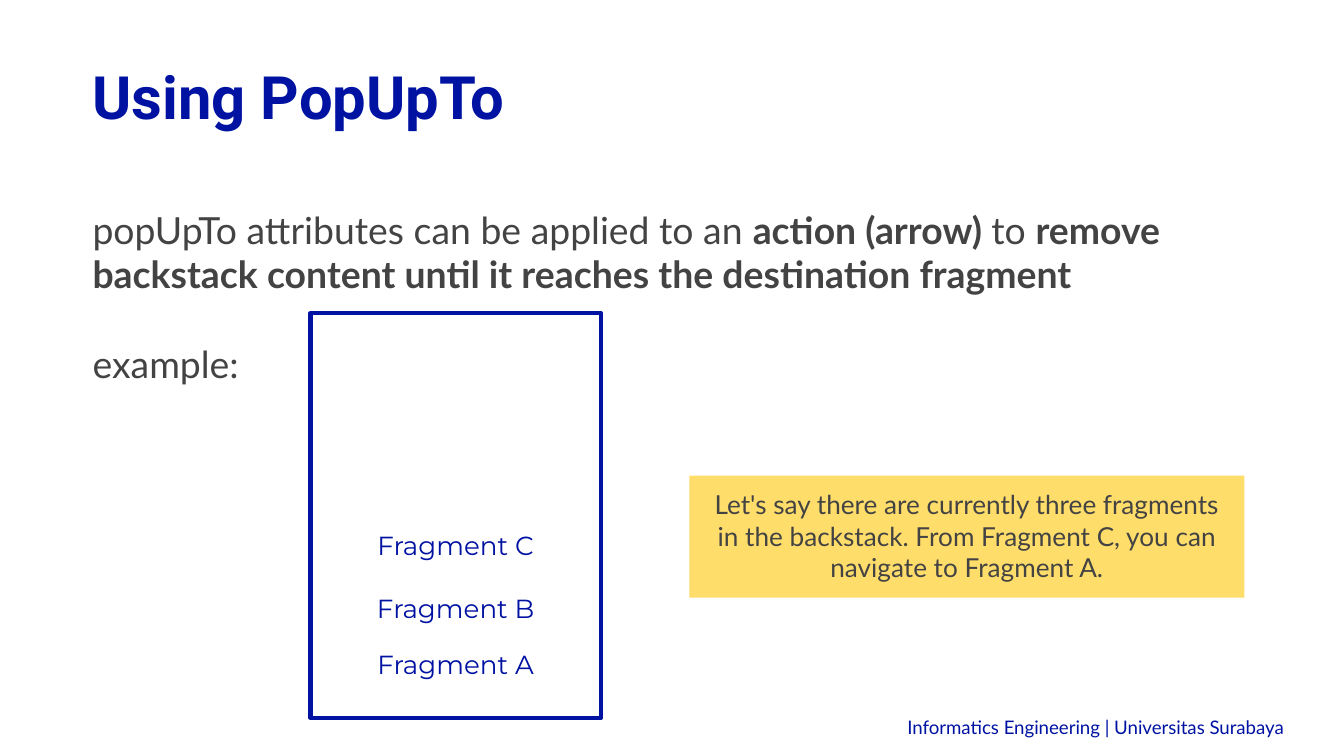
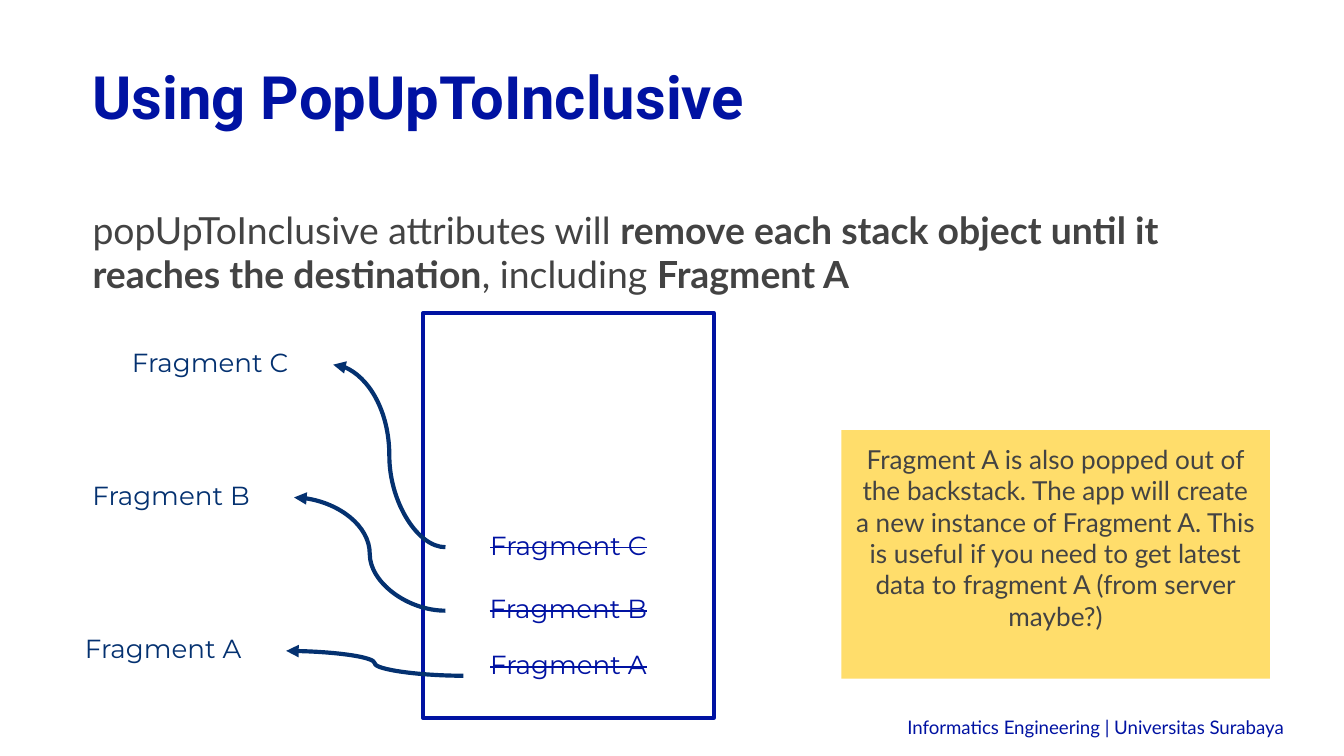
from dataclasses import dataclass

from lxml import etree
from pptx import Presentation
from pptx.dml.color import RGBColor
from pptx.enum.shapes import MSO_CONNECTOR, MSO_SHAPE
from pptx.enum.text import MSO_ANCHOR, PP_ALIGN
from pptx.oxml.ns import qn
from pptx.util import Cm, Pt

CURVE = MSO_CONNECTOR.CURVE
RECTANGLE = MSO_SHAPE.RECTANGLE
TOP, MIDDLE, BOTTOM = MSO_ANCHOR.TOP, MSO_ANCHOR.MIDDLE, MSO_ANCHOR.BOTTOM
LEFT, CENTER, RIGHT = PP_ALIGN.LEFT, PP_ALIGN.CENTER, PP_ALIGN.RIGHT


@dataclass(frozen=True)
class Theme:
    blue: RGBColor = RGBColor(0x00, 0x12, 0xA2)
    navy: RGBColor = RGBColor(0x04, 0x31, 0x70)
    grey: RGBColor = RGBColor(0x43, 0x43, 0x43)
    yellow: RGBColor = RGBColor(0xFF, 0xDD, 0x6B)
    title_font: str = "Roboto"
    body_font: str = "Lato"
    label_font: str = "Montserrat"
    title_size: int = 32
    body_size: int = 20
    label_size: int = 14
    footer_size: int = 10
    line_width: float = 2.25


# All lengths below are in centimetres.
MARGIN = 1.5
INSET = 0.25
STACK_TOP, STACK_WIDTH, STACK_HEIGHT = 5.92, 5.49, 7.65
LABEL_WIDTH, LABEL_HEIGHT = 4.65, 1.19
STACK_LABEL_TOPS = {"Fragment A": 12.01, "Fragment B": 10.95, "Fragment C": 9.75}
FOOTER = "Informatics Engineering | Universitas Surabaya"


class Deck:
    def __init__(self, theme):
        self.theme = theme
        self.presentation = Presentation()
        self.presentation.slide_width = Cm(25.4)
        self.presentation.slide_height = Cm(14.29)
        self.slide = None

    def new_slide(self, title, paragraphs):
        """Start a slide with its title, body text and footer."""
        theme = self.theme
        self.slide = self.presentation.slides.add_slide(self.presentation.slide_layouts[6])
        self.body(paragraphs)
        heading = self.text_box(title, (MARGIN, 0.2, 16.79, 2.54), theme.title_font,
                                theme.title_size, theme.blue, LEFT, BOTTOM)
        heading.font.bold = True
        footer = self.text_box(FOOTER, (16.13, 13.41, 8.38, 0.61), theme.body_font,
                               theme.footer_size, theme.blue, RIGHT, MIDDLE)
        footer.line_spacing = 1.15

    def frame(self, shape, anchor):
        frame = shape.text_frame
        frame.word_wrap = True
        frame.vertical_anchor = anchor
        frame.margin_left = frame.margin_right = Cm(INSET)
        frame.margin_top = frame.margin_bottom = Cm(INSET)
        return frame

    def style(self, paragraph, font, size, color, align):
        paragraph.alignment = align
        paragraph.font.name = font
        paragraph.font.size = Pt(size)
        paragraph.font.color.rgb = color

    def text_box(self, text, box, font, size, color, align, anchor=TOP):
        shape = self.slide.shapes.add_textbox(*map(Cm, box))
        paragraph = self.frame(shape, anchor).paragraphs[0]
        paragraph.text = text
        self.style(paragraph, font, size, color, align)
        return paragraph

    def body(self, paragraphs):
        """Write paragraphs given as lists of (text, bold) runs."""
        theme = self.theme
        shape = self.slide.shapes.add_textbox(*map(Cm, (MARGIN, 3.66, 22.23, 8.99)))
        frame = self.frame(shape, TOP)
        for index, runs in enumerate(paragraphs):
            paragraph = frame.add_paragraph() if index else frame.paragraphs[0]
            if index:
                paragraph.space_before = Pt(24)
            for text, bold in runs:
                run = paragraph.add_run()
                run.text = text
                run.font.bold = bold
            self.style(paragraph, theme.body_font, theme.body_size, theme.grey, LEFT)

    def rectangle(self, box):
        shape = self.slide.shapes.add_shape(RECTANGLE, *map(Cm, box))
        shape.shadow.inherit = False
        return shape

    def label(self, text, left, top, color):
        theme = self.theme
        return self.text_box(text, (left, top, LABEL_WIDTH, LABEL_HEIGHT),
                             theme.label_font, theme.label_size, color, CENTER)

    def stack(self, left, struck=False):
        """Draw the backstack and return the left edge of its labels."""
        outline = self.rectangle((left, STACK_TOP, STACK_WIDTH, STACK_HEIGHT))
        outline.fill.background()
        outline.line.color.rgb = self.theme.blue
        outline.line.width = Pt(self.theme.line_width)
        label_left = left + (STACK_WIDTH - LABEL_WIDTH) / 2
        for fragment, top in STACK_LABEL_TOPS.items():
            paragraph = self.label(fragment, label_left, top, self.theme.blue)
            if struck:
                paragraph.font._element.set("strike", "sngStrike")
        return label_left

    def note(self, text, box):
        theme = self.theme
        shape = self.rectangle(box)
        shape.fill.solid()
        shape.fill.fore_color.rgb = theme.yellow
        shape.line.fill.background()
        paragraph = self.frame(shape, TOP).paragraphs[0]
        paragraph.text = text
        self.style(paragraph, theme.body_font, theme.label_size, theme.grey, CENTER)

    def arrow(self, start, end):
        connector = self.slide.shapes.add_connector(CURVE, *map(Cm, (*start, *end)))
        connector.line.color.rgb = self.theme.navy
        connector.line.width = Pt(self.theme.line_width)
        etree.SubElement(connector.line._get_or_add_ln(), qn("a:tailEnd"), type="triangle")
        etree.SubElement(connector._element.spPr, qn("a:effectLst"))


def pop_up_to(deck):
    deck.new_slide("Using PopUpTo", [
        [("popUpTo attributes can be applied to an ", False),
         ("action (arrow) ", True),
         ("to ", False),
         ("remove backstack content until it reaches the destination fragment", True)],
        [("example:", False)],
    ])
    deck.stack(5.87)
    deck.note("Let's say there are currently three fragments in the backstack. "
              "From Fragment C, you can navigate to Fragment A.",
              (13.03, 8.99, 10.49, 2.31))


def pop_up_to_inclusive(deck):
    deck.new_slide("Using PopUpToInclusive", [
        [("popUpToInclusive attributes will ", False),
         ("remove each stack object until it reaches the destination", True),
         (", including ", False),
         ("Fragment A", True)],
    ])
    stack_label_left = deck.stack(8, struck=True)
    deck.note("Fragment A is also popped out of the backstack. The app will create "
              "a new instance of Fragment A. This is useful if you need to get "
              "latest data to fragment A (from server maybe?)",
              (15.9, 8.13, 8.1, 4.7))
    # Each popped fragment: left, top, and the shift of the arrow's start.
    popped = {
        "Fragment C": (1.65, 6.3, 0, 0),
        "Fragment B": (0.91, 8.81, 0, 0),
        "Fragment A": (0.76, 11.71, 0.34, 0.17),
    }
    for fragment, (left, top, shift_x, shift_y) in popped.items():
        deck.label(fragment, left, top, deck.theme.navy)
        stack_middle = STACK_LABEL_TOPS[fragment] + LABEL_HEIGHT / 2
        deck.arrow((stack_label_left + shift_x, stack_middle + shift_y),
                   (left + LABEL_WIDTH, top + LABEL_HEIGHT / 2))


def main():
    deck = Deck(Theme())
    pop_up_to(deck)
    pop_up_to_inclusive(deck)
    deck.presentation.save("out.pptx")


if __name__ == "__main__":
    main()
